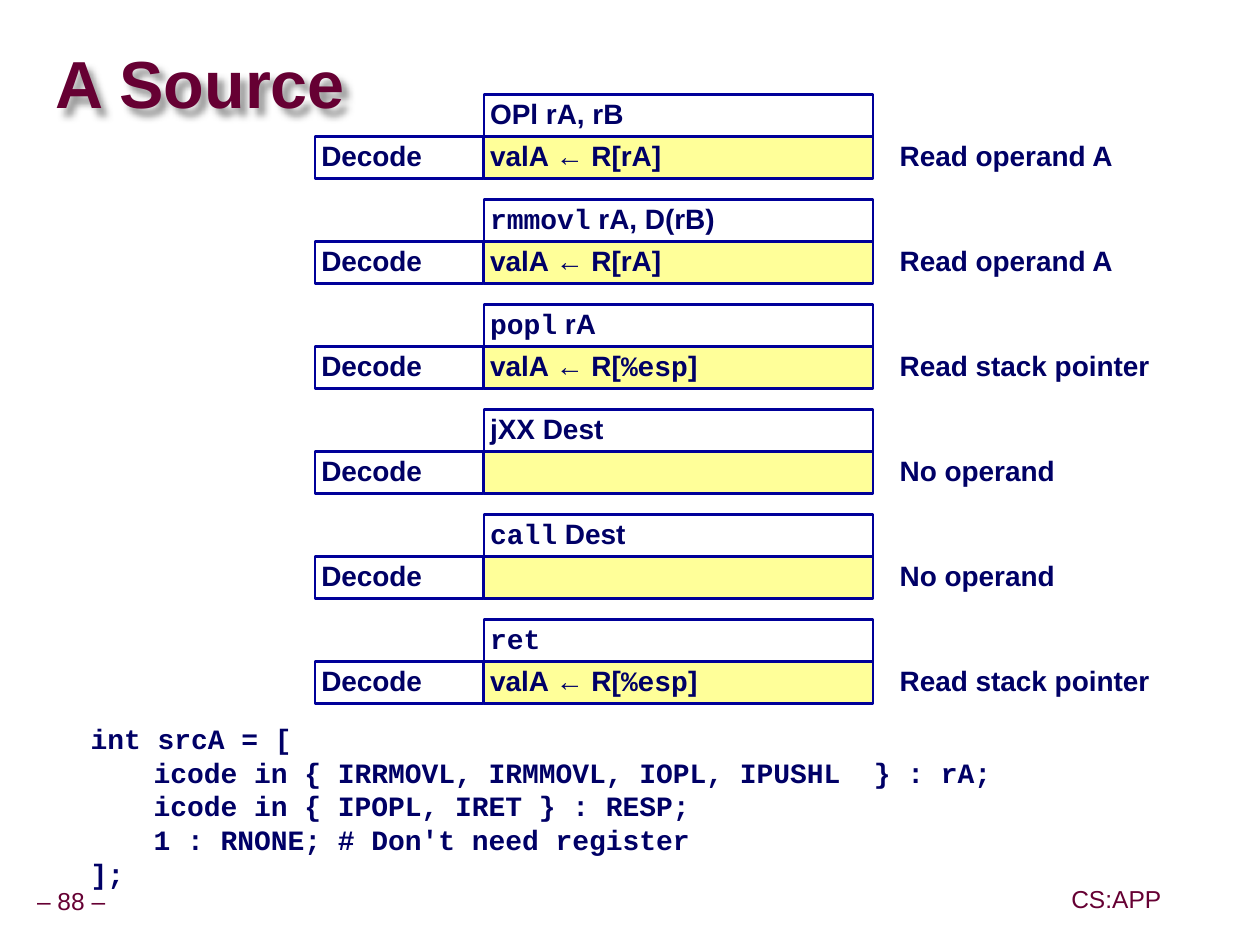
"""Build the slide on the A source in the decode stage."""
from lxml.etree import SubElement
from pptx import Presentation
from pptx.dml.color import RGBColor
from pptx.enum.shapes import MSO_SHAPE
from pptx.enum.text import MSO_ANCHOR, PP_ALIGN
from pptx.oxml.ns import qn
from pptx.util import Inches, Pt

NAVY = RGBColor(0x00, 0x00, 0x66)
BLUE = RGBColor(0x00, 0x00, 0x99)
MAROON = RGBColor(0x66, 0x00, 0x33)
YELLOW = RGBColor(0xFF, 0xFF, 0x99)
SANS, MONO = "Arial", "Courier New"

ROW = 1 / 3
FIRST_ROW = 0.75
PITCH = 2.5 * ROW
STAGE_LEFT, STAGE_WIDTH = 2.5, 1.34
STEP_LEFT, STEP_WIDTH = STAGE_LEFT + STAGE_WIDTH, 3.09
NOTE_LEFT, NOTE_WIDTH = 7.09, 2.91

INSTRUCTIONS = [
    ("OPl rA, rB", "valA ← R[rA]", "Read operand A"),
    ("`rmmovl` rA, D(rB)", "valA ← R[rA]", "Read operand A"),
    ("`popl` rA", "valA ← R[`%esp`]", "Read stack pointer"),
    ("jXX Dest", "", "No operand"),
    ("`call` Dest", "", "No operand"),
    ("`ret`", "valA ← R[`%esp`]", "Read stack pointer"),
]
CODE = """`int srcA = [`
`\ticode in { IRRMOVL, IRMMOVL, IOPL, IPUSHL  } : rA;`
`\ticode in { IPOPL, IRET } : RESP;`
`\t1 : RNONE; # Don't need register`
`];`"""

presentation = Presentation()
presentation.slide_width, presentation.slide_height = Inches(10), Inches(7.5)
slide = presentation.slides.add_slide(presentation.slide_layouts[6])


def add_text(text, left, top, width, height, size=16, color=NAVY, bold=True,
             align=PP_ALIGN.LEFT, anchor=MSO_ANCHOR.TOP, spacing=0.9, inset=0.05,
             wrap=True, framed=False, fill=None):
    """Add a box of text in which backticks enclose monospaced words."""
    place = [Inches(length) for length in (left, top, width, height)]
    if framed:
        shape = slide.shapes.add_shape(MSO_SHAPE.RECTANGLE, *place)
        shape.shadow.inherit = False
        shape.line.color.rgb, shape.line.width = BLUE, Pt(1.5)
        if fill is None:
            shape.fill.background()
        else:
            shape.fill.solid()
            shape.fill.fore_color.rgb = fill
    else:
        shape = slide.shapes.add_textbox(*place)
    frame = shape.text_frame
    frame.word_wrap, frame.vertical_anchor = wrap, anchor
    frame.margin_left = frame.margin_right = Inches(inset)
    frame.margin_top = frame.margin_bottom = Inches(inset)
    for number, line in enumerate(text.split("\n")):
        paragraph = frame.add_paragraph() if number else frame.paragraphs[0]
        paragraph.alignment, paragraph.line_spacing = align, spacing
        for index, piece in enumerate(line.split("`")):
            if piece:
                run = paragraph.add_run()
                run.text = piece
                run.font.name = MONO if index % 2 else SANS
                run.font.size, run.font.bold = Pt(size), bold
                run.font.color.rgb = color
    return shape


footer = dict(size=14, color=MAROON, bold=False, align=PP_ALIGN.CENTER,
              anchor=MSO_ANCHOR.MIDDLE, wrap=False)
add_text("– 88 –", 0.23, 7, 0.67, 0.32, **footer)
add_text("CS:APP", 8.45, 6.99, 0.82, 0.32, **footer)

title = add_text("A Source", 0.44, 0.27, 9.53, 0.85, size=38, color=MAROON,
                 anchor=MSO_ANCHOR.MIDDLE, spacing=0.87, inset=0)
effects = SubElement(title.element.spPr, qn("a:effectLst"))
shadow = SubElement(effects, qn("a:outerShdw"), blurRad="50800", dist="63500",
                    dir="2700000", algn="tl", rotWithShape="0")
shadow_color = SubElement(shadow, qn("a:srgbClr"), val="000000")
SubElement(shadow_color, qn("a:alpha"), val="40000")

for number, (instruction, step, note) in enumerate(INSTRUCTIONS):
    top = FIRST_ROW + number * PITCH
    decode_top = top + ROW
    add_text(instruction, STEP_LEFT, top, STEP_WIDTH, ROW, framed=True)
    add_text(step, STEP_LEFT, decode_top, STEP_WIDTH, ROW, framed=True, fill=YELLOW)
    add_text("Decode", STAGE_LEFT, decode_top, STAGE_WIDTH, ROW, framed=True,
             anchor=MSO_ANCHOR.MIDDLE)
    add_text(note, NOTE_LEFT, decode_top, NOTE_WIDTH, ROW)

add_text(CODE, 0.67, 5.68, 8.76, 1.44, spacing=1.0)

presentation.save("out.pptx")
